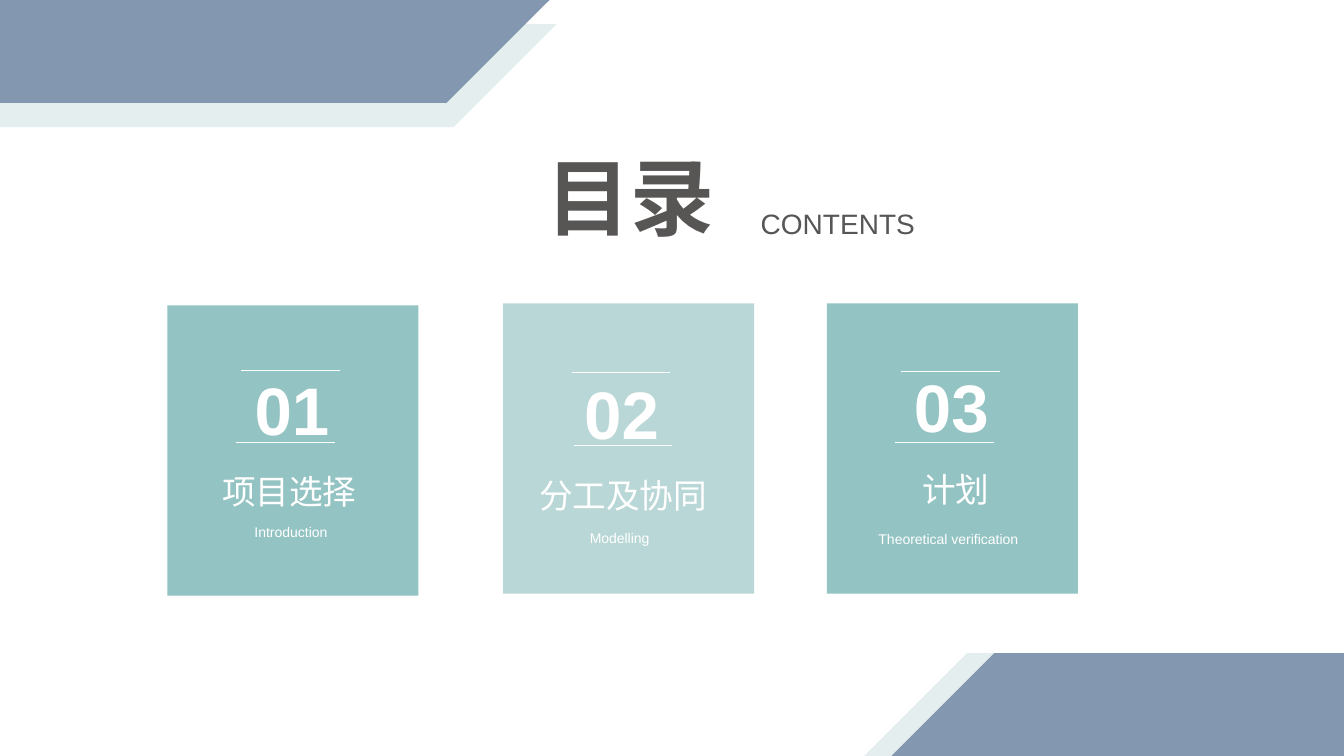
from typing import NamedTuple

from lxml.etree import SubElement
from pptx import Presentation
from pptx.dml.color import RGBColor
from pptx.enum.shapes import MSO_CONNECTOR, MSO_SHAPE
from pptx.enum.text import MSO_ANCHOR, MSO_AUTO_SIZE, PP_ALIGN
from pptx.oxml.ns import qn
from pptx.util import Inches, Pt

COLORS = {"slate": "8497B0", "mist": "E4EEEF", "teal": "93C3C2",
          "pale_teal": "BAD7D7", "gray": "585555", "white": "FFFFFF"}
FONT = "Arial"
BAND_SIZE = (7.41, 1.02)
CARD_SIZE = (2.49, 2.88)
RULE_LENGTH = 0.98


class Place(NamedTuple):
    """Left, top, width and height in inches."""
    left: float
    top: float
    width: float
    height: float


class Band(NamedTuple):
    """A slanted band in a corner of the slide."""
    left: float
    top: float
    color: str


class Card(NamedTuple):
    """One entry of the contents, with the places of its parts."""
    left: float
    top: float
    color: str
    number: str
    number_at: Place
    heading: str
    heading_at: Place
    caption: str
    caption_at: Place
    rules: tuple[tuple[float, float], ...]


BANDS = [
    Band(-1.89, 0.24, "mist"), Band(-1.96, 0, "slate"),
    Band(8.57, 6.48, "mist"), Band(8.84, 6.48, "slate"),
]
CARDS = [
    Card(1.66, 3.03, "teal", "01", Place(2.34, 3.6, 1.11, 0.91),
         "项目选择", Place(1.99, 4.62, 1.76, 0.5),
         "Introduction", Place(1.66, 5.06, 2.45, 0.32),
         ((2.39, 3.67), (2.34, 4.39))),
    Card(4.99, 3.01, "pale_teal", "02", Place(5.61, 3.64, 1.11, 0.91),
         "分工及协同", Place(5.13, 4.66, 2.1, 0.5),
         "Modelling", Place(4.92, 5.12, 2.45, 0.32),
         ((5.67, 3.69), (5.69, 4.42))),
    Card(8.2, 3.01, "teal", "03", Place(8.88, 3.57, 1.11, 0.91),
         "计划", Place(8.2, 4.6, 2.56, 0.5),
         "Theoretical verification", Place(8.18, 5.13, 2.45, 0.32),
         ((8.94, 3.68), (8.88, 4.39))),
]


def rgb(name: str) -> RGBColor:
    """Return the named colour."""
    return RGBColor.from_string(COLORS[name])


def apply_format(target, values: dict) -> None:
    """Set each named attribute on the target."""
    for name, value in values.items():
        setattr(target, name, value)


def write_text(box, text: str, size: float, color: str,
               bold: bool = False, spacing: float = 1.0) -> None:
    """Fill a box with one centred, formatted line."""
    frame = box.text_frame
    apply_format(frame, {"word_wrap": True, "auto_size": MSO_AUTO_SIZE.NONE,
                         "vertical_anchor": MSO_ANCHOR.TOP})
    para = frame.paragraphs[0]
    apply_format(para, {"alignment": PP_ALIGN.CENTER, "line_spacing": spacing})
    span = para.add_run()
    span.text = text
    apply_format(span.font, {"name": FONT, "size": Pt(size), "bold": bold})
    span.font.color.rgb = rgb(color)


def add_text(page, place: Place, text: str, size: float, color: str,
             bold: bool = False, spacing: float = 1.0) -> None:
    """Add a text box."""
    box = page.shapes.add_textbox(*map(Inches, place))
    write_text(box, text, size, color, bold, spacing)


def add_title(page, place: Place, text: str) -> None:
    """Move the title placeholder and fill it."""
    names = ("left", "top", "width", "height")
    apply_format(page.shapes.title, dict(zip(names, map(Inches, place))))
    write_text(page.shapes.title, text, 60, "gray", bold=True)


def add_block(page, kind: MSO_SHAPE, place: Place, color: str):
    """Add a flat filled shape without an outline."""
    block = page.shapes.add_shape(kind, *map(Inches, place))
    block.shadow.inherit = False
    block.fill.solid()
    block.fill.fore_color.rgb = rgb(color)
    block.line.fill.background()
    return block


def add_band(page, band: Band) -> None:
    """Add a band whose ends slant at 45 degrees."""
    place = Place(band.left, band.top, *BAND_SIZE)
    block = add_block(page, MSO_SHAPE.PARALLELOGRAM, place, band.color)
    block.adjustments[0] = 1.0


def add_rule(page, left: float, top: float) -> None:
    """Add a thin white horizontal line."""
    rule = page.shapes.add_connector(
        MSO_CONNECTOR.STRAIGHT, Inches(left), Inches(top),
        Inches(left + RULE_LENGTH), Inches(top))
    rule.line.color.rgb = rgb("white")
    rule.line.width = Pt(0.5)
    SubElement(rule.element.spPr, qn("a:effectLst"))


def add_card(page, card: Card) -> None:
    """Add a card with its number, heading, caption and rules."""
    place = Place(card.left, card.top, *CARD_SIZE)
    add_block(page, MSO_SHAPE.RECTANGLE, place, card.color)
    add_text(page, card.caption_at, card.caption, 10, "white", spacing=1.5)
    add_text(page, card.heading_at, card.heading, 24, "white")
    add_text(page, card.number_at, card.number, 48, "white", bold=True)
    for left, top in card.rules:
        add_rule(page, left, top)


def main() -> None:
    """Build the contents slide and save the deck."""
    deck = Presentation()
    apply_format(deck, {"slide_width": Inches(13.33),
                        "slide_height": Inches(7.5)})
    page = deck.slides.add_slide(deck.slide_layouts.get_by_name("Title Only"))
    add_title(page, Place(5.12, 1.39, 2.26, 1.11), "目录")
    add_text(page, Place(7.18, 2, 2.26, 0.44), "CONTENTS", 20, "gray")
    for band in BANDS:
        add_band(page, band)
    for card in CARDS:
        add_card(page, card)
    deck.save("out.pptx")


main()
